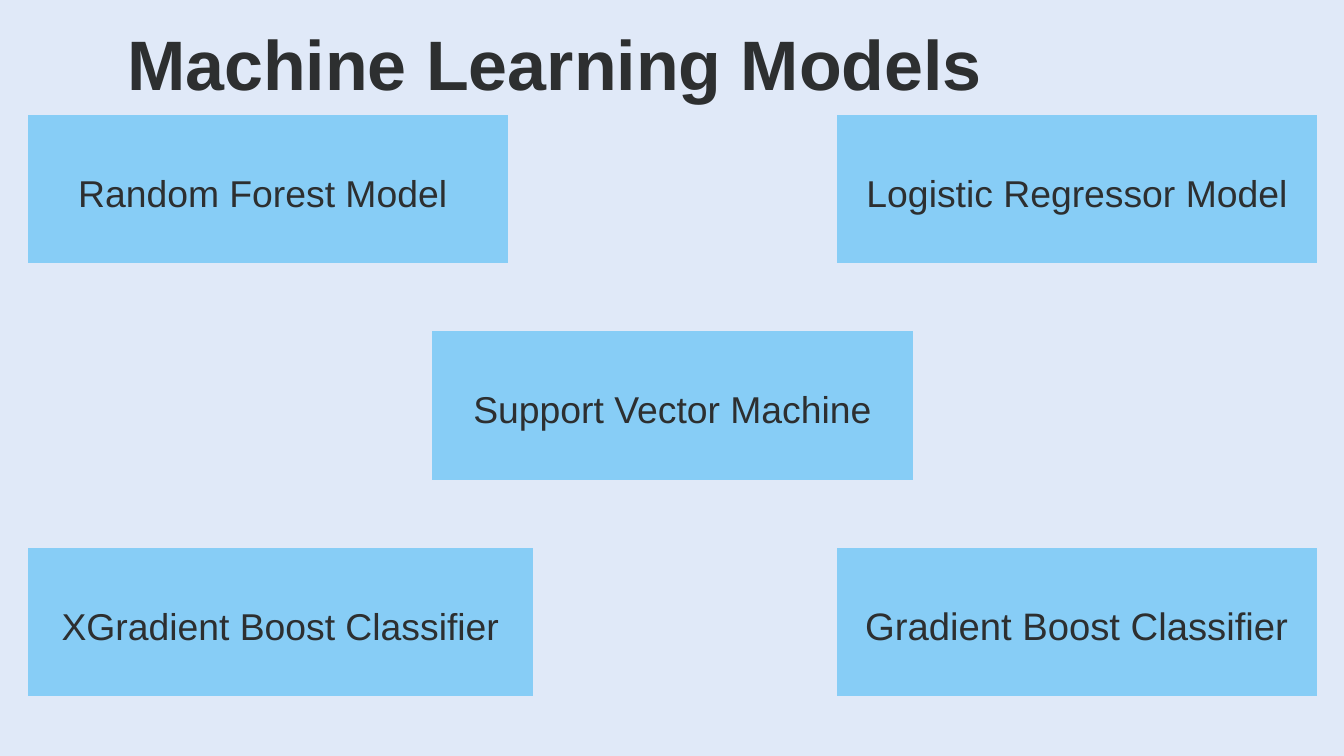
from lxml import etree
from pptx import Presentation
from pptx.dml.color import RGBColor
from pptx.enum.text import MSO_ANCHOR as Anchor, MSO_AUTO_SIZE as AutoSize, PP_ALIGN as Align
from pptx.oxml.ns import qn
from pptx.util import Inches, Pt

COLORS = {"background": "E0E9F8", "card": "87CDF6", "text": "2D2F30"}
FONT = "Arial"

CARD_WIDTH, CARD_HEIGHT = 7.15, 2.21
LEFT, CENTER, RIGHT = 0.41, 6.43, 12.45
TOP, MIDDLE, BOTTOM = 1.71, 4.93, 8.15


def color(name):
    return RGBColor.from_string(COLORS[name])


def write_text(text_frame, text, size, line_spacing, bold=False, align=Align.LEFT):
    paragraph = text_frame.paragraphs[0]
    paragraph.alignment = align
    paragraph.line_spacing = Pt(line_spacing)
    run = paragraph.add_run()
    run.text = text
    run.font.name = FONT
    run.font.size = Pt(size)
    run.font.bold = bold
    run.font.color.rgb = color("text")


class SlideBuilder:
    def __init__(self, presentation):
        # Title-only layout
        self.slide = presentation.slides.add_slide(presentation.slide_layouts[5])
        fill = self.slide.background.fill
        fill.solid()
        fill.fore_color.rgb = color("background")

    def title(self, text, left, top, width, height):
        shape = self.slide.shapes.title
        shape.left, shape.top = Inches(left), Inches(top)
        shape.width, shape.height = Inches(width), Inches(height)
        frame = shape.text_frame
        frame.margin_left = frame.margin_right = 0
        frame.margin_top = frame.margin_bottom = 0
        frame.vertical_anchor = Anchor.TOP
        frame.word_wrap = True
        frame.auto_size = AutoSize.SHAPE_TO_FIT_TEXT
        write_text(frame, text, size=75, line_spacing=90, bold=True)

    def card(self, text, left, top, width=CARD_WIDTH, size=40):
        """Add a one-cell table that holds a model name."""
        shape = self.slide.shapes.add_table(
            1, 1, Inches(left), Inches(top), Inches(width), Inches(CARD_HEIGHT))
        table = shape.table
        table.first_row = table.horz_banding = False
        cell = table.cell(0, 0)
        cell.margin_left = cell.margin_right = Inches(0.16)
        cell.margin_top = cell.margin_bottom = Inches(0.16)
        cell.vertical_anchor = Anchor.MIDDLE
        cell.fill.solid()
        cell.fill.fore_color.rgb = color("card")
        # Borders come before the fill in the cell properties
        properties = cell._tc.get_or_add_tcPr()
        for index, side in enumerate(("a:lnL", "a:lnR", "a:lnT", "a:lnB")):
            border = etree.Element(qn(side), w="0")
            etree.SubElement(border, qn("a:noFill"))
            properties.insert(index, border)
        write_text(cell.text_frame, text, size=size, line_spacing=size * 1.4,
                   align=Align.CENTER)


def main():
    presentation = Presentation()
    presentation.slide_width = Inches(20)
    presentation.slide_height = Inches(11.25)
    builder = SlideBuilder(presentation)

    # Heading
    builder.title("Machine Learning Models", 1.89, 0.3, 16.22, 1.42)

    # Model cards: four corners and the centre
    builder.card("XGradient Boost Classifier", LEFT, BOTTOM, width=7.52)
    builder.card("Support Vector Machine", CENTER, MIDDLE)
    builder.card("Gradient Boost Classifier", RIGHT, BOTTOM, size=41)
    builder.card("Logistic Regressor Model", RIGHT, TOP)
    builder.card("Random Forest Model ", LEFT, TOP)

    presentation.save("out.pptx")


if __name__ == "__main__":
    main()
